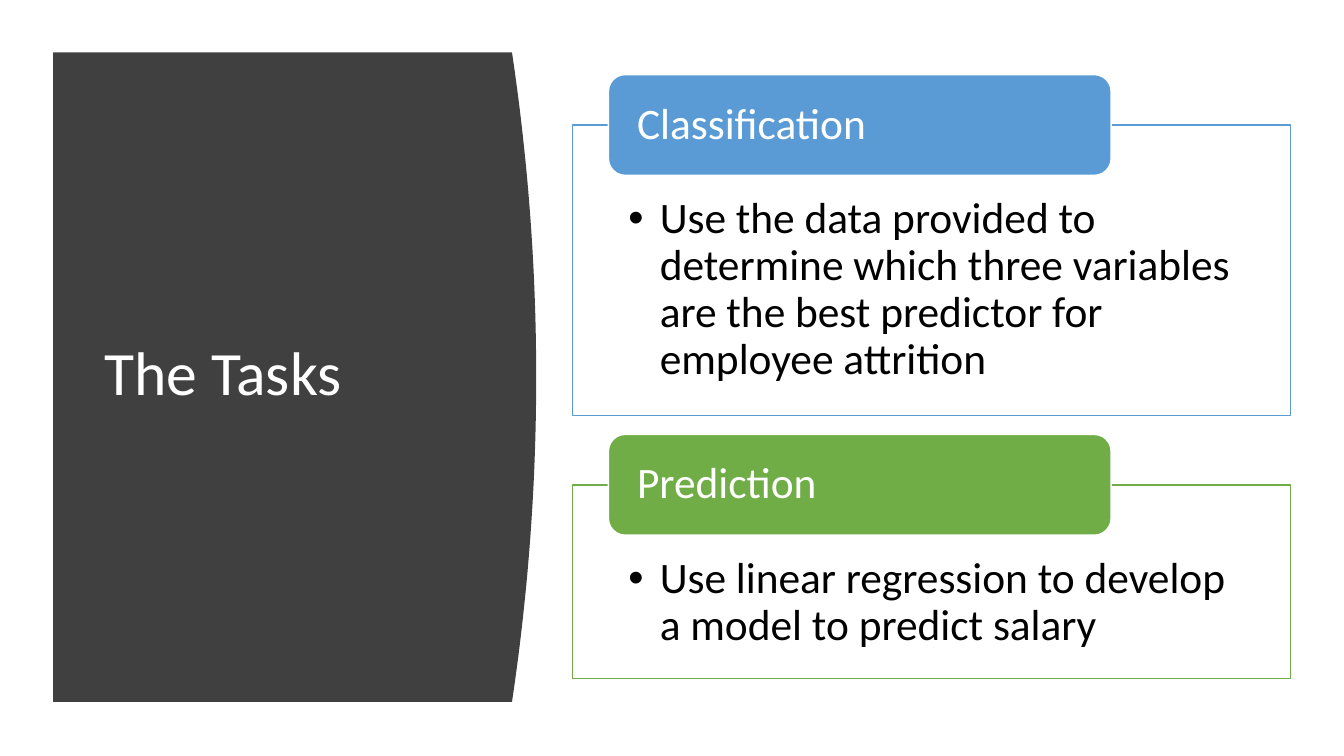
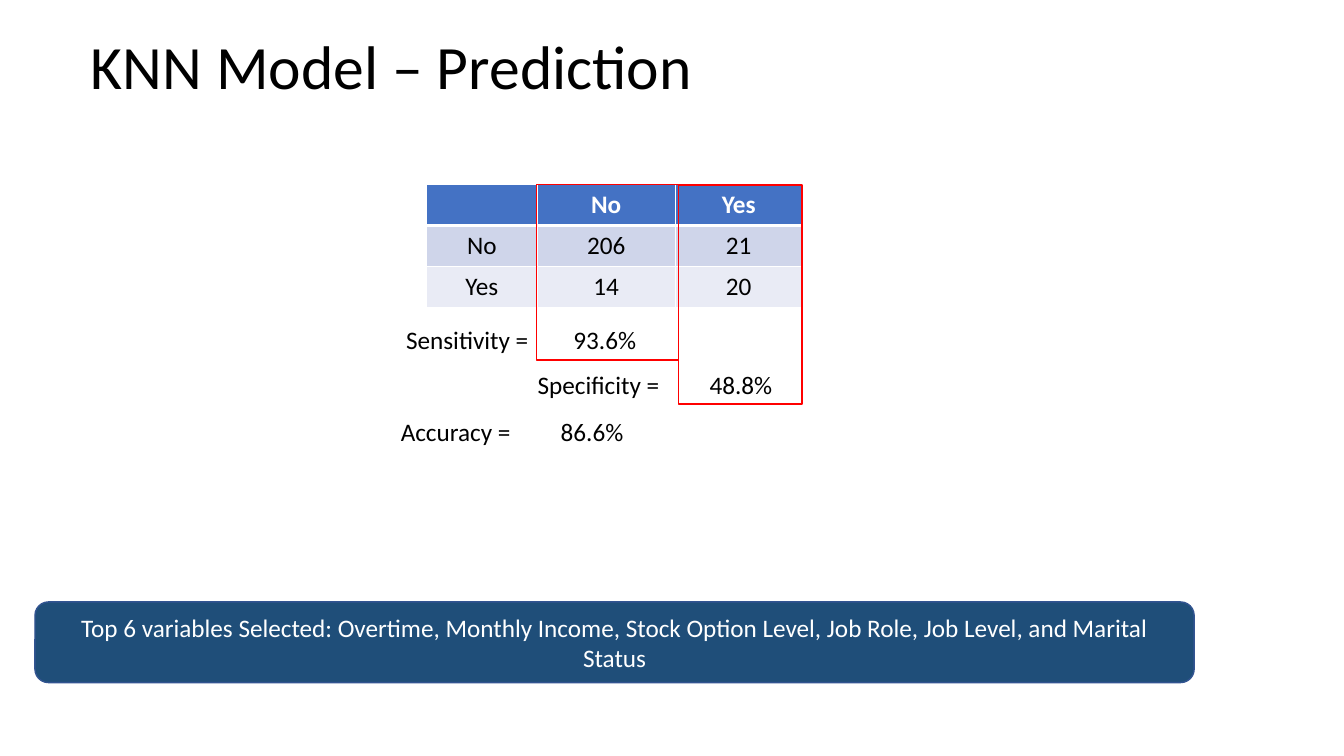
from lxml import etree
from pptx import Presentation
from pptx.dml.color import RGBColor
from pptx.enum import shapes, text
from pptx.oxml import ns
from pptx.util import Pt

FONT = "Calibri"
WHITE = RGBColor(0xFF, 0xFF, 0xFF)
BLACK = RGBColor(0, 0, 0)
CHARCOAL = RGBColor(0x40, 0x40, 0x40)
BLUE = RGBColor(0x5B, 0x9B, 0xD5)
GREEN = RGBColor(0x70, 0xAD, 0x47)
NAVY = RGBColor(0x1F, 0x4E, 0x79)
NAVY_EDGE = RGBColor(0x32, 0x54, 0x91)
RED = RGBColor(0xFF, 0, 0)
HEADER_FILL = RGBColor(0x44, 0x72, 0xC4)
ROW_FILLS = (RGBColor(0xCF, 0xD5, 0xEA), RGBColor(0xE9, 0xEB, 0xF5))

RECTANGLE = shapes.MSO_SHAPE.RECTANGLE
ROUNDED = shapes.MSO_SHAPE.ROUNDED_RECTANGLE
MIDDLE = text.MSO_ANCHOR.MIDDLE
CENTER = text.PP_ALIGN.CENTER


# Shared helpers
def add_child(parent, tag, **attributes):
    return etree.SubElement(parent, ns.qn(tag), attributes)


def write(frame, words, size=18, color=BLACK, bold=False, align=text.PP_ALIGN.LEFT,
          anchor=text.MSO_ANCHOR.TOP, spacing=1.0, insets=None, bullet_indent=None,
          tab_stop=None):
    """Put one formatted paragraph into a text frame; lengths are in points."""
    frame.word_wrap = True
    frame.vertical_anchor = anchor
    if insets:
        (frame.margin_left, frame.margin_top,
         frame.margin_right, frame.margin_bottom) = map(Pt, insets)
    paragraph = frame.paragraphs[0]
    paragraph.alignment = align
    paragraph.line_spacing = spacing
    run = paragraph.add_run()
    run.text = words
    font = run.font
    font.name, font.size, font.bold = FONT, Pt(size), bold
    font.color.rgb = color
    properties = paragraph._p.get_or_add_pPr()
    if bullet_indent:
        properties.set("marL", str(Pt(bullet_indent)))
        properties.set("indent", str(-Pt(bullet_indent)))
        add_child(properties, "a:buFont", typeface="Arial")
        add_child(properties, "a:buChar", char="•")
    if tab_stop:
        stops = add_child(properties, "a:tabLst")
        add_child(stops, "a:tab", pos=str(Pt(tab_stop)), algn="l")


def add_box(slide, kind, box, fill=None, line=None):
    shape = slide.shapes.add_shape(kind, *map(Pt, box))
    shape.shadow.inherit = False
    if fill is None:
        shape.fill.background()
    else:
        shape.fill.solid()
        shape.fill.fore_color.rgb = fill
    shape.line.color.rgb = line
    shape.line.width = Pt(1)
    return shape


def add_label(slide, box, words, **style):
    label = slide.shapes.add_textbox(*map(Pt, box))
    write(label.text_frame, words, **style)


def add_title(slide, box, words, color):
    add_label(slide, box, words, size=44, color=color, anchor=MIDDLE, spacing=0.9)


# Tasks slide
def add_curved_panel(slide, box, bulge, steps=40):
    """Dark panel whose right edge bows outwards as a parabola."""
    left, top, width, height = box
    edge = []
    for step in range(steps + 1):
        ratio = step / steps
        bow = bulge * (1 - (2 * ratio - 1) ** 2)
        edge.append((Pt(left + width - bulge + bow), Pt(top + height * ratio)))
    builder = slide.shapes.build_freeform(Pt(left), Pt(top))
    builder.add_line_segments(edge + [(Pt(left), Pt(top + height))], close=True)
    panel = builder.convert_to_shape()
    panel.shadow.inherit = False
    panel.fill.solid()
    panel.fill.fore_color.rgb = CHARCOAL
    panel.line.fill.background()


def add_task_card(slide, box, heading, body, color):
    """Outlined card with a heading tab straddling its top edge."""
    left, top, width, height = box
    tab_height = 72
    frame_top = top + tab_height / 2
    frame = add_box(slide, RECTANGLE, (left, frame_top, width, height - tab_height / 2),
                    fill=WHITE, line=color)
    solid = frame.fill._xPr.find(ns.qn("a:solidFill"))
    add_child(solid[0], "a:alpha", val="90000")
    write(frame.text_frame, body, size=31, spacing=0.9,
          insets=(39.8, 51, 39.8, 17), bullet_indent=22.5)
    tab = add_box(slide, ROUNDED, (left + 25.6, top, width * 0.7, tab_height),
                  fill=color, line=WHITE)
    write(tab.text_frame, heading, size=31, color=WHITE, anchor=MIDDLE, spacing=0.9,
          insets=(17, 0, 17, 0))


def build_tasks(slide):
    add_curved_panel(slide, (38, 37.4, 345, 464), bulge=17.3)
    add_title(slide, (67.5, 80, 269, 377), "The Tasks", WHITE)
    cards = (
        ("Classification", "Use the data provided to determine which three variables "
         "are the best predictor for employee attrition", BLUE, 243.4),
        ("Prediction", "Use linear regression to develop a model to predict salary",
         GREEN, 174.2),
    )
    top, gap = 53.3, 13.6
    for heading, body, color, height in cards:
        add_task_card(slide, (409, top, 513, height), heading, body, color)
        top += height + gap


# Model slide
def set_borders(cell, top=1, bottom=1):
    properties = cell._tc.get_or_add_tcPr()
    widths = (("a:lnL", 1), ("a:lnR", 1), ("a:lnT", top), ("a:lnB", bottom))
    for position, (tag, width) in enumerate(widths):
        line = etree.Element(ns.qn(tag), w=str(Pt(width)))
        add_child(add_child(line, "a:solidFill"), "a:srgbClr", val=str(WHITE))
        properties.insert(position, line)


def add_confusion_table(slide, left, top, columns, row_height):
    rows = (("", "No", "Yes"), ("No", "206", "21"), ("Yes", "14", "20"))
    table = slide.shapes.add_table(
        len(rows), len(columns), Pt(left), Pt(top),
        Pt(sum(columns)), Pt(row_height * len(rows))).table
    for column, width in zip(table.columns, columns):
        column.width = Pt(width)
    for index, values in enumerate(rows):
        table.rows[index].height = Pt(row_height)
        header = index == 0
        for cell, value in zip(table.rows[index].cells, values):
            cell.fill.solid()
            cell.fill.fore_color.rgb = HEADER_FILL if header else ROW_FILLS[index - 1]
            set_borders(cell, top=3 if index == 1 else 1, bottom=3 if header else 1)
            write(cell.text_frame, value, color=WHITE if header else BLACK,
                  bold=header, align=CENTER)


def add_metrics(slide):
    metrics = (
        ("Sensitivity =\t93.6%", 283, 228.3, 119.5),
        ("Specificity =\t48.8%", 377, 259.9, 122.8),
        ("Accuracy =\t86.6%", 279.2, 294, 114.2),
    )
    for words, left, top, tab_stop in metrics:
        add_label(slide, (left, top, 200, 29), words, tab_stop=tab_stop)


def build_model(slide):
    add_title(slide, (57.9, -2.9, 828, 104.4), "KNN Model – Prediction", BLACK)
    banner = add_box(slide, ROUNDED, (25, 430, 828, 57.6), fill=NAVY, line=NAVY_EDGE)
    write(banner.text_frame, "Top 6 variables Selected: Overtime, Monthly Income, "
          "Stock Option Level, Job Role, Job Level, and Marital Status",
          color=WHITE, align=CENTER, anchor=MIDDLE)
    add_confusion_table(slide, 304.7, 131.8, (79, 98.7, 90.7), 29.2)
    add_metrics(slide)
    # Column outlines reaching down to the matching metric
    for outline in ((383.2, 131.6, 101.3, 125.6), (484.5, 132.2, 88.5, 156.4)):
        add_box(slide, RECTANGLE, outline, line=RED)


def main():
    presentation = Presentation()
    presentation.slide_width, presentation.slide_height = Pt(960), Pt(540)
    blank = presentation.slide_layouts[6]
    for build in (build_tasks, build_model):
        build(presentation.slides.add_slide(blank))
    presentation.save("out.pptx")


if __name__ == "__main__":
    main()
